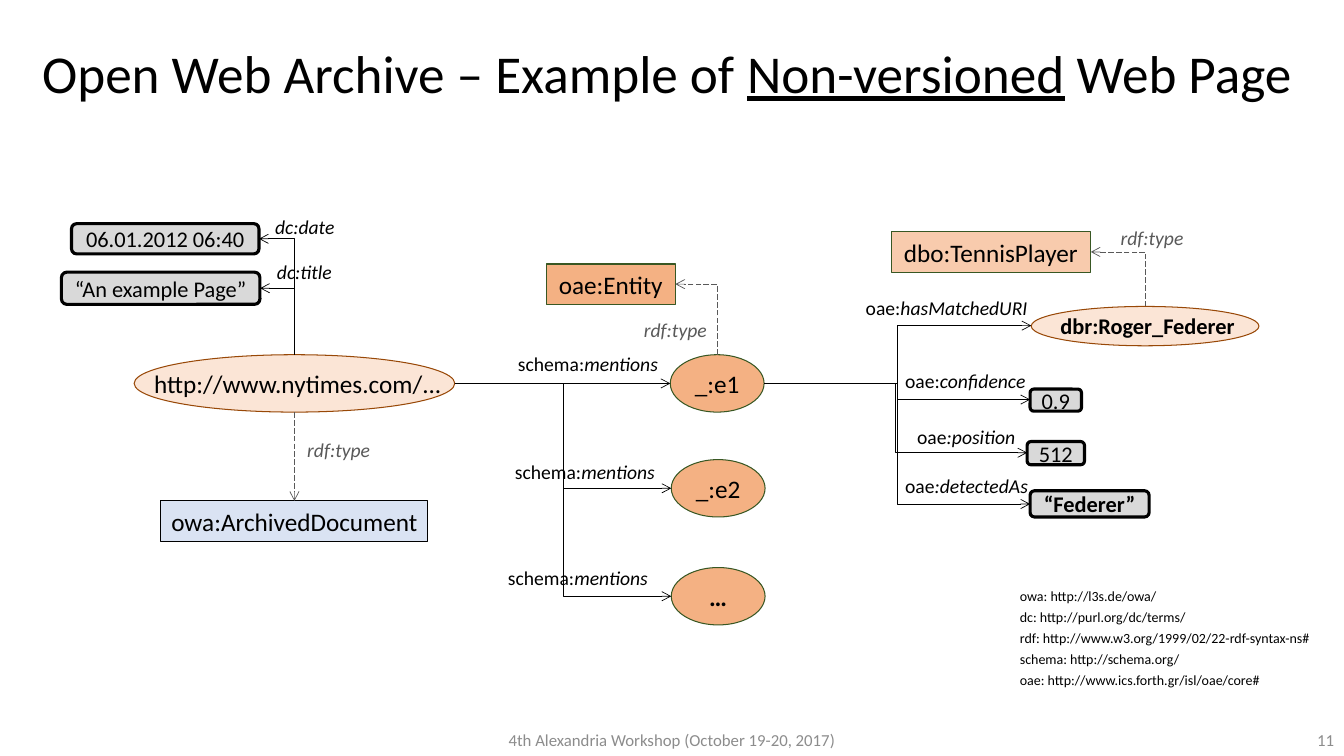
from lxml import etree
from pptx import Presentation
from pptx.dml.color import RGBColor
from pptx.enum.dml import MSO_LINE
from pptx.enum.shapes import MSO_CONNECTOR, MSO_SHAPE
from pptx.enum.text import MSO_ANCHOR, PP_ALIGN
from pptx.oxml.ns import qn
from pptx.util import Pt

RECT, ROUND, ELLIPSE = MSO_SHAPE.RECTANGLE, MSO_SHAPE.ROUNDED_RECTANGLE, MSO_SHAPE.OVAL
STRAIGHT, ELBOW = MSO_CONNECTOR.STRAIGHT, MSO_CONNECTOR.ELBOW
LEFT, CENTER, RIGHT = PP_ALIGN.LEFT, PP_ALIGN.CENTER, PP_ALIGN.RIGHT
TOP, MIDDLE, BOTTOM = MSO_ANCHOR.TOP, MSO_ANCHOR.MIDDLE, MSO_ANCHOR.BOTTOM
LONG_DASH = MSO_LINE.LONG_DASH

COLORS = {
    "black": "000000",
    "footer": "8C8C8C",
    "type": "595959",
    "literal": "D9D9D9",
    "resource": "FBE5D6",
    "brown": "984807",
    "entity": "F4B183",
    "green": "385723",
    "player": "F8CBAD",
    "document": "DAE3F3",
}
LABEL_HEIGHT = 24.2
CLASS_HEIGHT = 28.8
ELLIPSE_HEIGHT = 41


def rgb(name):
    return RGBColor.from_string(COLORS[name])


def write(para, text, size=18, color="black", bold=False, italic=False, underline=False):
    span = para.add_run()
    span.text = text
    font = span.font
    font.name = "Calibri"
    font.size = Pt(size)
    font.color.rgb = rgb(color)
    font.bold, font.italic, font.underline = bold, italic, underline


def prepare(box, align=LEFT, anchor=TOP, wrap=False):
    frame = box.text_frame
    frame.word_wrap = wrap
    frame.vertical_anchor = anchor
    para = frame.paragraphs[0]
    para.alignment = align
    return para


def add_box(page, left, top, width, height, **layout):
    box = page.shapes.add_textbox(Pt(left), Pt(top), Pt(width), Pt(height))
    return prepare(box, **layout)


def add_label(page, left, top, width, prefix, name, color="black", wrap=False):
    para = add_box(page, left, top, width, LABEL_HEIGHT, wrap=wrap)
    if prefix:
        write(para, prefix, size=14, color=color)
    write(para, name, size=14, color=color, italic=True)


def add_node(page, kind, left, top, width, height, text, fill, line,
             weight=0.75, size=18, bold=False):
    node = page.shapes.add_shape(kind, Pt(left), Pt(top), Pt(width), Pt(height))
    node.shadow.inherit = False
    node.fill.solid()
    node.fill.fore_color.rgb = rgb(fill)
    node.line.color.rgb = rgb(line)
    node.line.width = Pt(weight)
    if text:
        write(prepare(node, align=CENTER, anchor=MIDDLE), text, size=size, bold=bold)
    return node


def add_literal(page, left, top, width, height, text, bold=False):
    add_node(page, ROUND, left, top, width, height, text, "literal", "black",
             weight=2.25, size=16, bold=bold)


def add_arrow(page, kind, start, end, color="black", dashed=False):
    arrow = page.shapes.add_connector(kind, Pt(start[0]), Pt(start[1]), Pt(end[0]), Pt(end[1]))
    arrow.line.color.rgb = rgb(color)
    arrow.line.width = Pt(0.5)
    if dashed:
        arrow.line.dash_style = LONG_DASH
    properties = arrow.element.spPr
    etree.SubElement(properties.find(qn("a:ln")), qn("a:tailEnd"), type="arrow")
    etree.SubElement(properties, qn("a:effectLst"))
    return arrow


def add_corner_arrow(page, start, end, **style):
    center_x, center_y = (start[0] + end[0]) / 2, (start[1] + end[1]) / 2
    half_width, half_height = (start[1] - end[1]) / 2, (start[0] - end[0]) / 2
    arrow = add_arrow(page, ELBOW, (center_x - half_width, center_y + half_height),
                      (center_x + half_width, center_y - half_height), **style)
    properties = arrow.element.spPr
    properties.find(qn("a:prstGeom")).set("prst", "bentConnector2")
    properties.find(qn("a:xfrm")).set("rot", str(270 * 60000))


def add_heading_and_footer(page):
    para = add_box(page, 23, 1.4, 913, 105.8, anchor=MIDDLE, wrap=True)
    para.line_spacing = 0.9
    write(para, "Open Web Archive – Example of ", size=38)
    write(para, "Non-versioned", size=38, underline=True)
    write(para, " Web Page", size=38)
    for left, width, align, text in (
        (0, 960, CENTER, "4th Alexandria Workshop (October 19-20, 2017)"),
        (928.8, 31.2, RIGHT, "11"),
    ):
        para = add_box(page, left, 510.5, width, 28.8, align=align, anchor=BOTTOM, wrap=True)
        write(para, text, size=12, color="footer")


def add_archived_page(page):
    add_node(page, ELLIPSE, 95.8, 253.4, 229, ELLIPSE_HEIGHT, "", "resource", "brown")
    para = add_box(page, 100.8, 259.2, 224, CLASS_HEIGHT, align=CENTER)
    write(para, "http://www.nytimes.com/...")
    add_literal(page, 51.1, 159.8, 133.9, 21.6, "06.01.2012 06:40")
    add_literal(page, 43.9, 194.4, 141.8, 23, "“An example Page”")
    for end in ((185, 170.6), (185.8, 205.9)):
        add_corner_arrow(page, (210.3, 253.4), end)
    add_label(page, 189.4, 149.8, 57.6, "", "dc:date")
    add_label(page, 190.8, 182.2, 54.7, "", "dc:title")
    document = add_node(page, RECT, 115, 357.8, 190.6, CLASS_HEIGHT,
                        "owa:ArchivedDocument", "document", "black")
    arrow = add_arrow(page, STRAIGHT, (210.3, 294.4), (210.3, 357.8), color="type", dashed=True)
    arrow.end_connect(document, 0)
    add_label(page, 212.4, 309.6, 59.8, "", "rdf:type", color="type")


def add_entities(page):
    source = (324.8, 273.9)
    for left, top, kind, text, label_left, label_top in (
        (478.8, 253.4, STRAIGHT, "_:e1", 362.9, 247.7),
        (479.5, 328.3, ELBOW, "_:e2", 360.7, 324.7),
        (479.5, 405.4, ELBOW, "…", 355.7, 401),
    ):
        add_node(page, ELLIPSE, left, top, 67, ELLIPSE_HEIGHT, text, "entity", "green",
                 bold=text == "…")
        add_arrow(page, kind, source, (left, top + ELLIPSE_HEIGHT / 2))
        add_label(page, label_left, label_top, 132.5, "schema:", "mentions", wrap=True)
    add_node(page, RECT, 390.2, 188.6, 92.2, CLASS_HEIGHT, "oae:Entity", "entity", "green")
    add_corner_arrow(page, (512.3, 253.4), (482.4, 203), color="type", dashed=True)
    add_label(page, 452.9, 223.2, 59.8, "", "rdf:type", color="type")


def add_entity_details(page):
    add_node(page, ELLIPSE, 736.6, 218.9, 162.7, 28.1, "", "resource", "brown")
    para = add_box(page, 748.8, 219.6, 141.8, 26.6, align=CENTER)
    write(para, "dbr:Roger_Federer", size=16, bold=True)
    add_literal(page, 735.8, 277.9, 36.7, 15.8, "0.9")
    add_literal(page, 733.7, 315.4, 41, 16.6, "512")
    add_literal(page, 735.8, 350.6, 85, 18.7, "“Federer”", bold=True)
    for end, left, top, width, prefix, name in (
        ((736.6, 232.6), 611.3, 208.1, 131.8, "oae:", "hasMatchedURI"),
        ((735.8, 285.4), 639.4, 259.9, 101.5, "oae:", "confidence"),
        ((733.7, 323.4), 648, 300.2, 85.7, "oae", ":position"),
        ((735.8, 360), 639.4, 334.8, 103, "oae", ":detectedAs"),
    ):
        add_arrow(page, ELBOW, (545.8, 273.9), end)
        add_label(page, left, top, width, prefix, name)
    add_node(page, RECT, 636.5, 165.6, 142.6, CLASS_HEIGHT, "dbo:TennisPlayer", "player", "green")
    add_corner_arrow(page, (818.4, 218.9), (779.1, 180), color="type", dashed=True)
    add_label(page, 793.4, 157.7, 59.8, "", "rdf:type", color="type")


def add_prefixes(page):
    para = add_box(page, 721.4, 413.3, 226.8, 82)
    frame = para._parent
    for index, text in enumerate((
        "owa: http://l3s.de/owa/",
        "dc: http://purl.org/dc/terms/",
        "rdf: http://www.w3.org/1999/02/22-rdf-syntax-ns#",
        "schema: http://schema.org/",
        "oae: http://www.ics.forth.gr/isl/oae/core#",
    )):
        if index:
            para = frame.add_paragraph()
        para.line_spacing = Pt(15)
        write(para, text, size=10)


def main():
    deck = Presentation()
    deck.slide_width, deck.slide_height = Pt(960), Pt(540)
    page = deck.slides.add_slide(deck.slide_layouts[6])
    add_heading_and_footer(page)
    add_archived_page(page)
    add_entities(page)
    add_entity_details(page)
    add_prefixes(page)
    deck.save("out.pptx")


if __name__ == "__main__":
    main()
